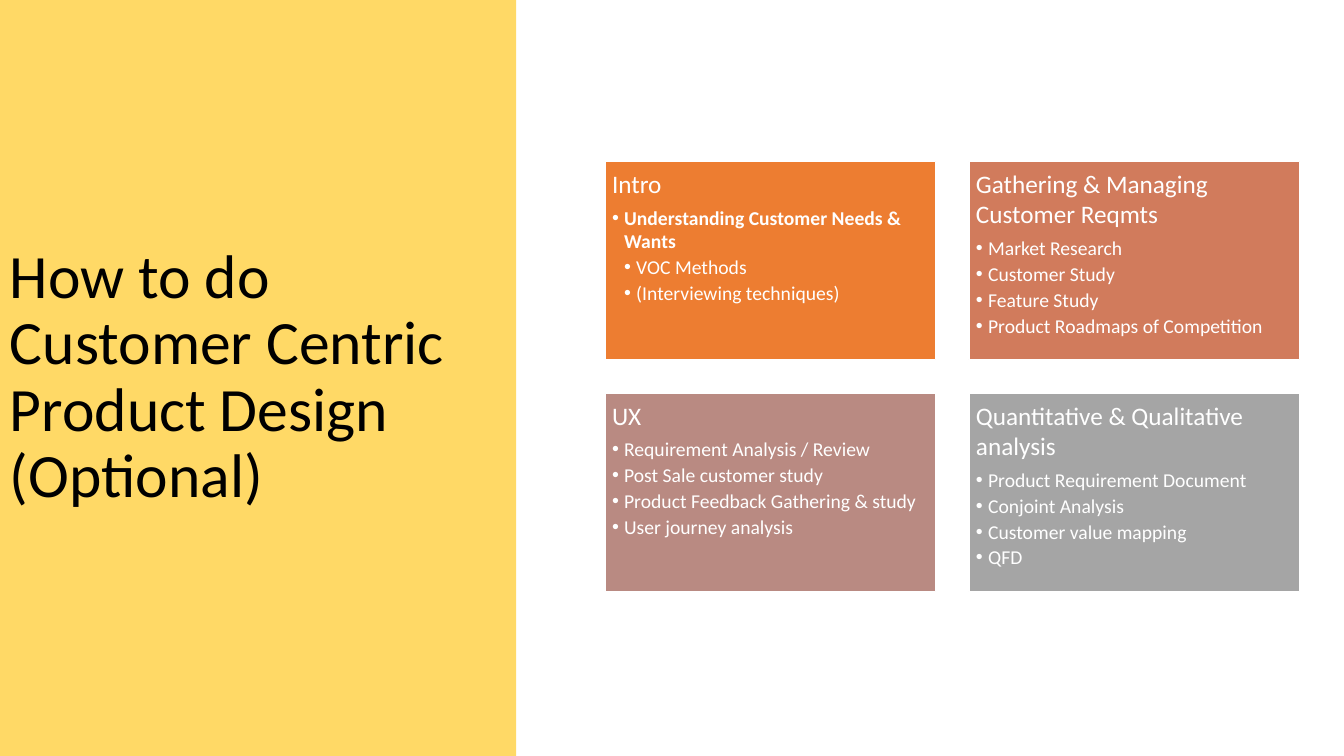
from dataclasses import dataclass

from lxml.etree import SubElement
from pptx import Presentation
from pptx.dml.color import RGBColor as RGB
from pptx.enum.shapes import MSO_SHAPE as SHAPE
from pptx.enum.text import MSO_ANCHOR as ANCHOR, PP_ALIGN as ALIGN
from pptx.oxml.ns import qn
from pptx.util import Emu, Pt

PX = 9144


@dataclass(frozen=True)
class Theme:
    """Colours, font and type sizes."""
    font: str = "Calibri"
    panel: str = "FFD966"
    dark: str = "000000"
    light: str = "FFFFFF"
    cards: tuple = ("ED7D31", "D17B5C", "B98A82", "A5A5A5")
    title: int = 44
    heading: int = 18
    item: int = 14


THEME = Theme()
SLIDE_W, SLIDE_H, PANEL_W = 1333, 750, 512
CARD_X, CARD_Y, CARD_W, CARD_H = 600, 160, 328, 197
STEP_X, STEP_Y = 361, 230
INSET, INDENT = 7, 12

TITLE = "How to do Customer Centric Product Design (Optional)"
CARDS = [
    ("Intro", [
        ("Understanding Customer Needs & Wants", 1, True),
        ("VOC Methods", 2, False),
        ("(Interviewing techniques)", 2, False),
    ]),
    ("Gathering & Managing Customer Reqmts", [
        ("Market Research", 1, False),
        ("Customer Study", 1, False),
        ("Feature Study", 1, False),
        ("Product Roadmaps of Competition", 1, False),
    ]),
    ("UX", [
        ("Requirement Analysis / Review", 1, False),
        ("Post Sale customer study", 1, False),
        ("Product Feedback Gathering & study", 1, False),
        ("User journey analysis", 1, False),
    ]),
    ("Quantitative & Qualitative analysis", [
        ("Product Requirement Document", 1, False),
        ("Conjoint Analysis", 1, False),
        ("Customer value mapping", 1, False),
        ("QFD", 1, False),
    ]),
]


def px(n):
    """Turn px into EMU."""
    return Emu(n * PX)


def add_box(s, x, y, w, h, fill):
    """Add a plain filled rectangle."""
    sp = s.shapes.add_shape(SHAPE.RECTANGLE, px(x), px(y), px(w), px(h))
    sp.shadow.inherit = False
    sp.fill.solid()
    sp.fill.fore_color.rgb = RGB.from_string(fill)
    sp.line.fill.background()
    sp.text_frame.word_wrap = True
    return sp


def write(p, text, size, color, after=0, bold=False):
    """Set and format the text of a paragraph."""
    p.text = text
    p.alignment = ALIGN.LEFT
    p.space_after = Pt(after)
    font = p.runs[0].font
    font.name, font.size, font.bold = THEME.font, Pt(size), bold
    font.color.rgb = RGB.from_string(color)


def add_bullet(p, level):
    """Give a paragraph a hanging bullet."""
    p.level = level
    pPr = p._p.get_or_add_pPr()
    pPr.set("marL", str(px(INDENT * level)))
    pPr.set("indent", str(-px(INDENT)))
    SubElement(pPr, qn("a:buFont")).set("typeface", "Arial")
    SubElement(pPr, qn("a:buChar")).set("char", "•")


def add_title(s):
    """Add the title panel."""
    tf = add_box(s, 0, 0, PANEL_W, SLIDE_H, THEME.panel).text_frame
    tf.vertical_anchor = ANCHOR.MIDDLE
    p = tf.paragraphs[0]
    write(p, TITLE, THEME.title, THEME.dark)
    p.line_spacing = 0.9


def add_card(s, x, y, fill, heading, items):
    """Add a card with a heading and bulleted items."""
    sp = add_box(s, x, y, CARD_W, CARD_H, fill)
    sp.line.color.rgb = RGB.from_string(THEME.light)
    sp.line.width = Pt(1)
    tf = sp.text_frame
    tf.vertical_anchor = ANCHOR.TOP
    tf.margin_left = tf.margin_right = px(INSET)
    tf.margin_top = tf.margin_bottom = px(INSET)
    write(tf.paragraphs[0], heading, THEME.heading, THEME.light, 5)
    for text, level, bold in items:
        p = tf.add_paragraph()
        write(p, text, THEME.item, THEME.light, 1.7, bold)
        add_bullet(p, level)


def main():
    """Build and save the slide."""
    prs = Presentation()
    prs.slide_width, prs.slide_height = px(SLIDE_W), px(SLIDE_H)
    s = prs.slides.add_slide(prs.slide_layouts[6])
    add_title(s)
    for i, (fill, (heading, items)) in enumerate(zip(THEME.cards, CARDS)):
        row, col = divmod(i, 2)
        add_card(s, CARD_X + col * STEP_X, CARD_Y + row * STEP_Y, fill, heading, items)
    prs.save("out.pptx")


if __name__ == "__main__":
    main()
